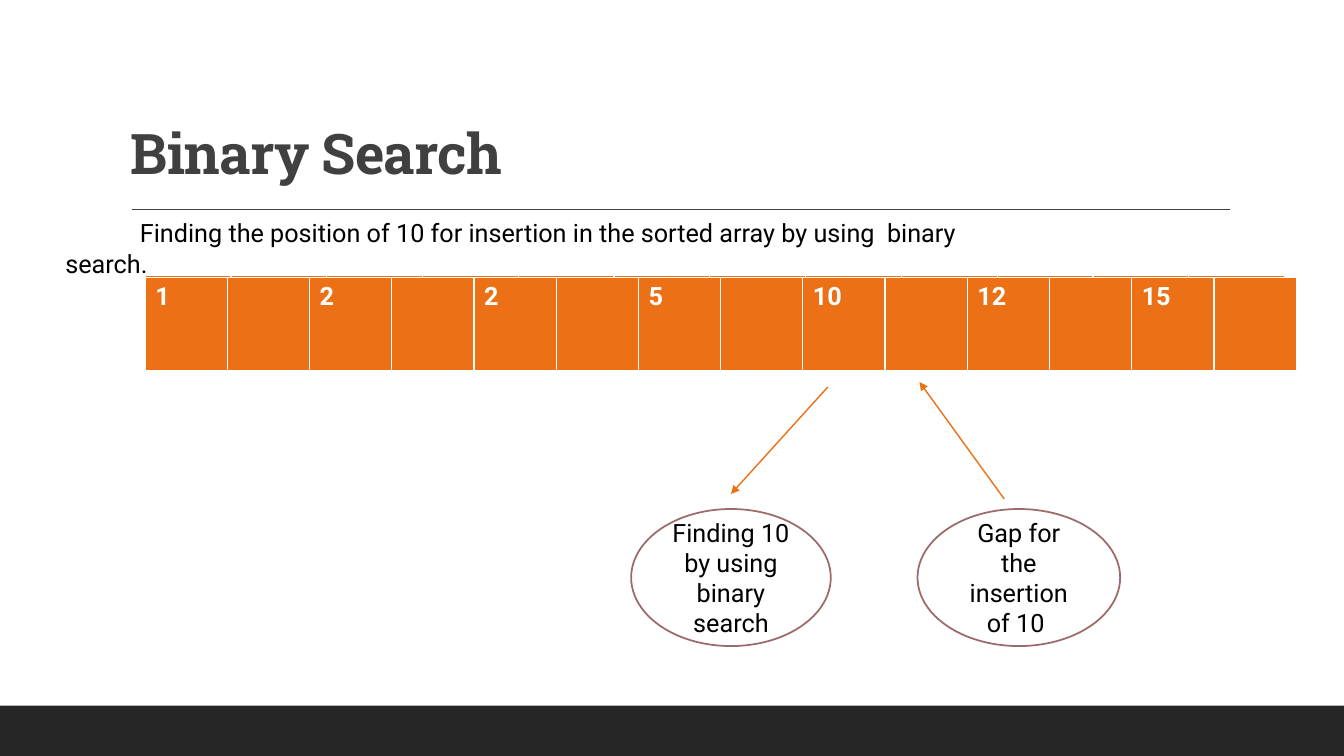
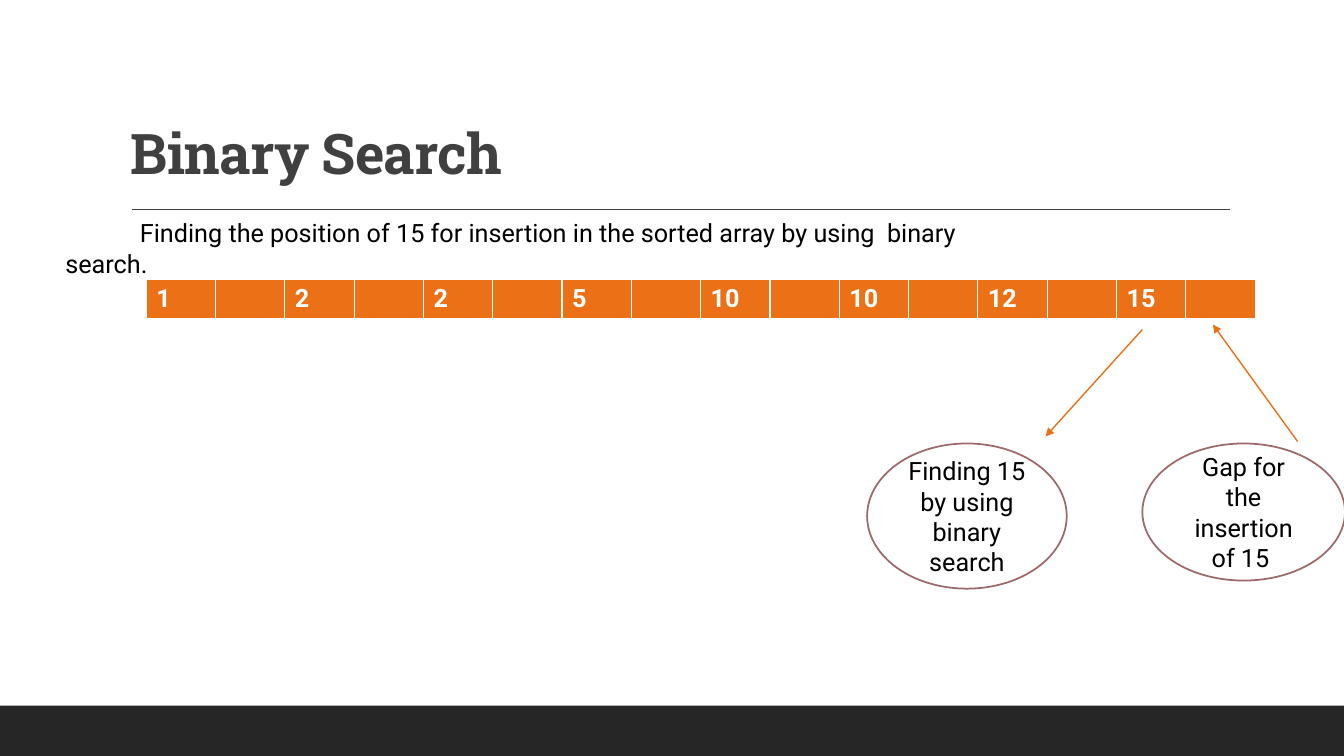
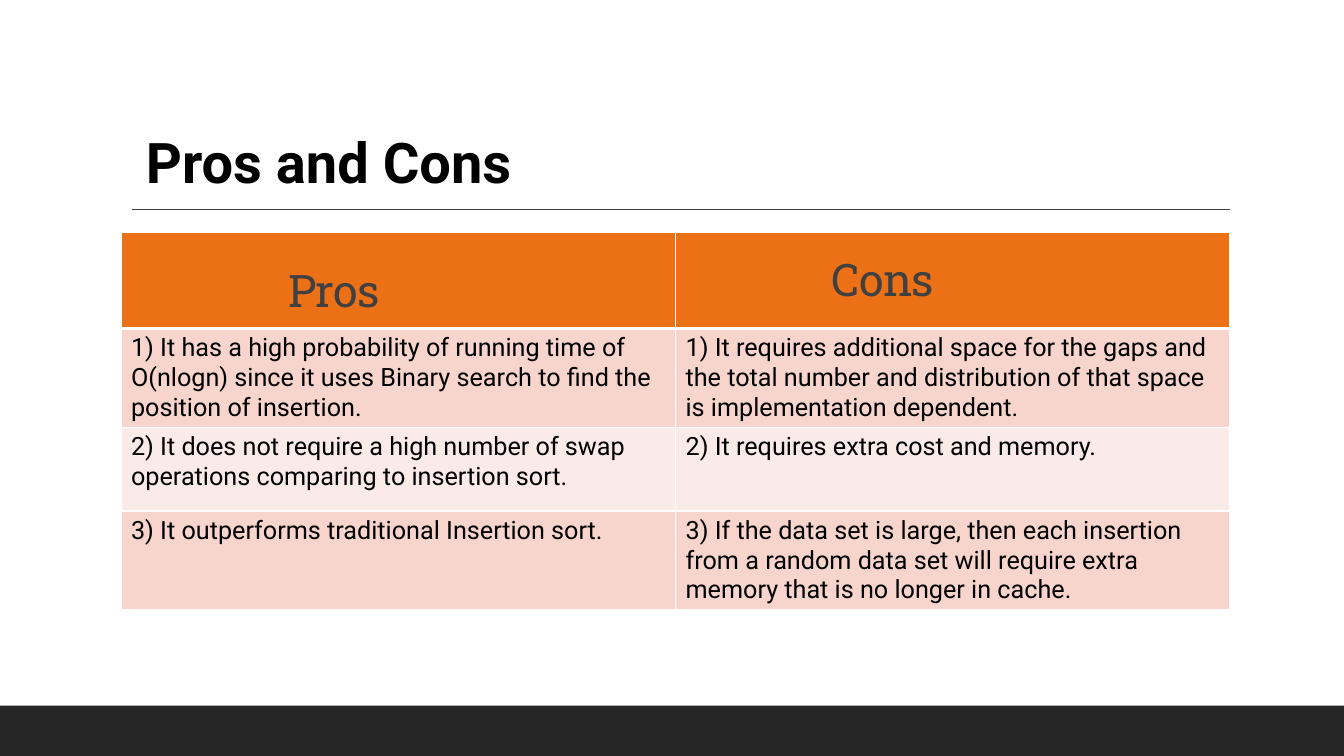
from dataclasses import dataclass

from lxml import etree
from pptx import Presentation
from pptx.dml.color import RGBColor
from pptx.enum.shapes import MSO_CONNECTOR, MSO_SHAPE
from pptx.enum.text import MSO_ANCHOR, PP_ALIGN
from pptx.oxml.ns import qn
from pptx.util import Emu, Inches, Pt

RECT, ELLIPSE = MSO_SHAPE.RECTANGLE, MSO_SHAPE.OVAL
STRAIGHT = MSO_CONNECTOR.STRAIGHT
TOP, MIDDLE, BOTTOM = MSO_ANCHOR.TOP, MSO_ANCHOR.MIDDLE, MSO_ANCHOR.BOTTOM
LEFT, CENTER = PP_ALIGN.LEFT, PP_ALIGN.CENTER

# Page grid, in inches
W, H = 13.33, 7.5
MARGIN, CONTENT_W = 1.2, 11
INSET = 0.11
RULE_Y = 2.08
FOOTER_H = H / 15
BLANK = 6

# Colours and text formats
WHITE, BLACK, DARK, FOOTER = "FFFFFF", "000000", "404040", "262626"
ORANGE, MAUVE = "EC7016", "9C6A6A"
BANDS = ["F8D5CC", "FBEBE8"]
BODY = {"name": "Roboto", "size": Pt(18), "bold": False, "color": BLACK}
NUMBER = BODY | {"bold": True, "color": WHITE}
TITLE = {"name": "Roboto Slab", "size": Pt(40), "bold": True,
         "color": DARK, "spc": -50}
PLAIN_TITLE = BODY | {"size": Pt(40), "bold": True}
HEADING = TITLE | {"size": Pt(32), "bold": False}


@dataclass
class Box:
    x: float
    y: float
    w: float
    h: float

    def emu(self) -> list[Emu]:
        return [Inches(v) for v in (self.x, self.y, self.w, self.h)]


@dataclass
class Callout:
    text: str
    box: Box
    arrow: tuple[float, float]
    reach: tuple[float, float]


@dataclass
class SearchSlide:
    key: int
    values: list[int]
    array: Box
    callouts: list[Callout]


@dataclass
class Heading:
    text: str
    indent: float
    top: float


FIND_REACH, GAP_REACH = (-0.96, 1.06), (-0.84, -1.16)
FIND, GAP = "Finding {} by using binary search", "Gap for the insertion of {} "
SEARCHES = [
    SearchSlide(10, [1, 2, 2, 5, 10, 12, 15], Box(1.44, 2.75, 11.42, 0.94), [
        Callout(GAP, Box(9.1, 5.05, 2.01, 1.36), (9.96, 4.95), GAP_REACH),
        Callout(FIND, Box(6.26, 5.05, 1.98, 1.36), (8.21, 3.84), FIND_REACH),
    ]),
    SearchSlide(15, [1, 2, 2, 5, 10, 10, 12, 15], Box(1.45, 2.77, 11, 0.38), [
        Callout(GAP, Box(11.33, 4.4, 2.01, 1.36), (12.87, 4.38), GAP_REACH),
        Callout(FIND, Box(8.6, 4.4, 1.98, 1.44), (11.33, 3.27), FIND_REACH),
    ]),
]

HEADINGS = [Heading("Pros", 1.56, 0.27), Heading("Cons", 1.45, 0.17)]
PROS_CONS = [
    ("1) It has a high probability of running time of O(nlogn) since it uses "
     "Binary search to find the position of insertion.",
     "1) It requires additional space for the gaps and the total number and "
     "distribution of that space is implementation dependent."),
    ("2) It does not require a high number of swap operations comparing to "
     "insertion sort.",
     "2) It requires extra cost and memory."),
    ("3) It outperforms traditional Insertion sort.",
     "3) If the data set is large, then each insertion from a random data set "
     "will require extra memory that is no longer in cache."),
]
PROS_CONS_ROWS = [0.95, 0.98, 0.83, 0.97]


def rgb(value: str) -> RGBColor:
    return RGBColor.from_string(value)


def write(tf, text: str, fmt: dict, align=LEFT, indent: float = 0):
    """Fill the first paragraph; indent applies to its first line."""
    p = tf.paragraphs[0]
    p.alignment = align
    if indent:
        pPr = p._p.get_or_add_pPr()
        pPr.set("marL", "0")
        pPr.set("indent", str(Inches(indent)))
    r = p.add_run()
    r.text = text
    for key, value in fmt.items():
        if key == "color":
            r.font.color.rgb = rgb(value)
        elif key == "spc":
            r._r.get_or_add_rPr().set("spc", str(value))
        else:
            setattr(r.font, key, value)
    return p


def add_text(s, box: Box, text: str, fmt: dict, anchor=TOP, indent: float = 0):
    tf = s.shapes.add_textbox(*box.emu()).text_frame
    tf.word_wrap = True
    tf.vertical_anchor = anchor
    return write(tf, text, fmt, indent=indent)


def add_shape(s, kind, box: Box, fill: str, line: str = ""):
    sp = s.shapes.add_shape(kind, *box.emu())
    sp.shadow.inherit = False
    sp.fill.solid()
    sp.fill.fore_color.rgb = rgb(fill)
    if line:
        sp.line.color.rgb = rgb(line)
        sp.line.width = Pt(1.25)
    else:
        sp.line.fill.background()
    return sp


def add_line(s, start: tuple, end: tuple, color: str, arrow: bool = False):
    cn = s.shapes.add_connector(STRAIGHT, *(Inches(v) for v in (*start, *end)))
    cn.line.color.rgb = rgb(color)
    cn.line.width = Pt(1)
    if arrow:
        ln = cn.line._get_or_add_ln()
        etree.SubElement(ln, qn("a:tailEnd"), type="triangle")
    etree.SubElement(cn._element.spPr, qn("a:effectLst"))


def style_cell(cell, fill: str, bottom: float) -> None:
    """White borders, then the fill, in schema order."""
    tcPr = cell._tc.get_or_add_tcPr()
    for side, width in {"L": 1, "R": 1, "T": 1, "B": bottom}.items():
        ln = etree.SubElement(tcPr, qn(f"a:ln{side}"), w=str(Pt(width)))
        solid = etree.SubElement(ln, qn("a:solidFill"))
        etree.SubElement(solid, qn("a:srgbClr"), val=WHITE)
    cell.fill.solid()
    cell.fill.fore_color.rgb = rgb(fill)


def add_table(s, box: Box, cols: list[float], rows: list[float]):
    """Orange first row, then alternating bands."""
    table = s.shapes.add_table(len(rows), len(cols), *box.emu()).table
    for column, width in zip(table.columns, cols):
        column.width = Inches(width)
    for i, (row, height) in enumerate(zip(table.rows, rows)):
        row.height = Inches(height)
        for cell in row.cells:
            style_cell(cell, BANDS[(i - 1) % 2] if i else ORANGE, 1 if i else 3)
    return table


def add_array(s, box: Box, values: list[int]) -> None:
    """Each value is followed by an empty gap cell."""
    n = 2 * len(values)
    table = add_table(s, box, [box.w / n] * n, [box.h])
    for i, value in enumerate(values):
        write(table.cell(0, 2 * i).text_frame, str(value), NUMBER)


def new_slide(prs):
    s = prs.slides.add_slide(prs.slide_layouts[BLANK])
    add_shape(s, RECT, Box(0, H - FOOTER_H, W, FOOTER_H), FOOTER)
    add_line(s, (MARGIN + INSET, RULE_Y),
             (MARGIN + CONTENT_W, RULE_Y), DARK)
    return s


def search_slide(prs, spec_: SearchSlide) -> None:
    s = new_slide(prs)
    p = add_text(s, Box(MARGIN, 0.31, CONTENT_W, 1.59), "Binary Search",
                 TITLE, BOTTOM)
    p.line_spacing = 0.9
    for c in spec_.callouts:
        (x, y), (dx, dy) = c.arrow, c.reach
        add_line(s, (x, y), (x + dx, y + dy), ORANGE, arrow=True)
        sp = add_shape(s, ELLIPSE, c.box, WHITE, MAUVE)
        sp.text_frame.vertical_anchor = MIDDLE
        write(sp.text_frame, c.text.format(spec_.key), BODY, CENTER)
    add_text(s, Box(0.55, 2.11, 9.56, 0.4),
             f"Finding the position of {spec_.key} for insertion in the sorted "
             "array by using  binary search.", BODY, indent=0.74)
    # Empty array whose top edge shows above the filled one
    if spec_ is SEARCHES[0]:
        add_table(s, Box(1.44, 2.73, 11.3, 0.88), [0.85] + [0.95] * 11, [0.88])
    add_array(s, spec_.array, spec_.values)


def pros_cons_slide(prs) -> None:
    s = new_slide(prs)
    box = Box(MARGIN, 2.31, CONTENT_W, sum(PROS_CONS_ROWS))
    table = add_table(s, box, [CONTENT_W / 2] * 2, PROS_CONS_ROWS)
    for col, heading in enumerate(HEADINGS):
        cell = table.cell(0, col)
        cell.margin_top = Inches(heading.top)
        write(cell.text_frame, heading.text, HEADING, indent=heading.indent)
    for i, texts in enumerate(PROS_CONS, start=1):
        for col, text in enumerate(texts):
            write(table.cell(i, col).text_frame, text, BODY)
    add_text(s, Box(1.35, 1.22, 4.8, 0.77), "Pros and Cons", PLAIN_TITLE)


def main() -> None:
    prs = Presentation()
    prs.slide_width, prs.slide_height = Inches(W), Inches(H)
    for search in SEARCHES:
        search_slide(prs, search)
    pros_cons_slide(prs)
    prs.save("out.pptx")


if __name__ == "__main__":
    main()
